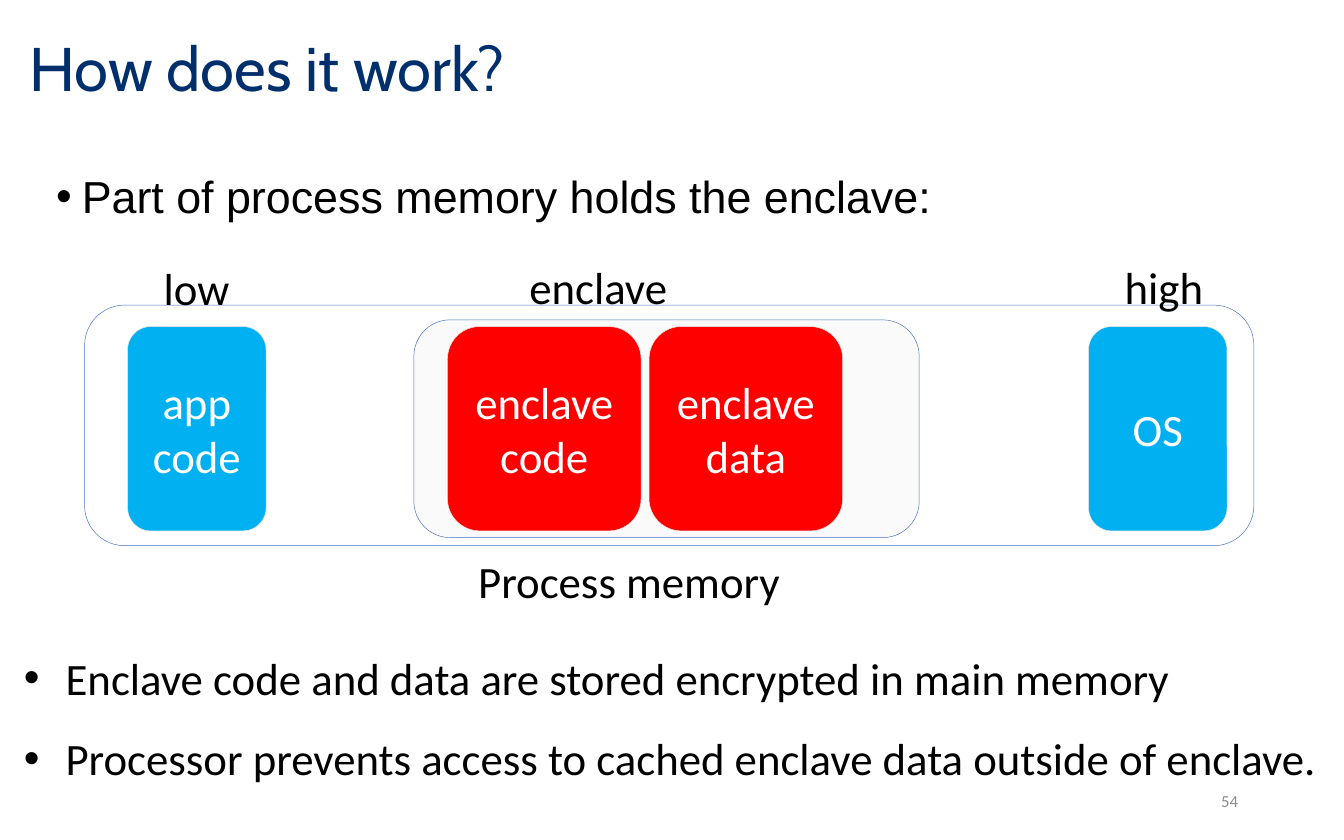
"""Build the slide on how an enclave sits in process memory."""
from dataclasses import dataclass
from typing import Any

from lxml.etree import SubElement
from pptx import Presentation
from pptx.dml.color import RGBColor
from pptx.enum.shapes import MSO_SHAPE
from pptx.enum.text import MSO_ANCHOR, PP_ALIGN
from pptx.oxml.ns import qn
from pptx.util import Emu, Pt

SCALE = 9144
NAVY = RGBColor(0x00, 0x2F, 0x6C)
BLACK = RGBColor(0x00, 0x00, 0x00)
WHITE = RGBColor(0xFF, 0xFF, 0xFF)
GREY = RGBColor(0x8C, 0x8C, 0x8C)
PALE = RGBColor(0xFA, 0xFA, 0xFA)
SILVER = RGBColor(0xE7, 0xE6, 0xE6)
BLUE = RGBColor(0x44, 0x72, 0xC4)
SKY = RGBColor(0x00, 0xB0, 0xF0)
RED = RGBColor(0xFF, 0x00, 0x00)


@dataclass(frozen=True)
class Box:
    left: int
    top: int
    width: int
    height: int


@dataclass(frozen=True)
class Style:
    size: float = 24
    face: str = "Calibri"
    color: RGBColor = BLACK
    align: PP_ALIGN = PP_ALIGN.LEFT
    anchor: MSO_ANCHOR = MSO_ANCHOR.TOP
    wrap: bool = True
    hanging: int = 0
    spacings: tuple[float, ...] = ()


@dataclass(frozen=True)
class Region:
    box: Box
    fill: RGBColor
    outline: RGBColor
    lines: tuple[str, ...] = ()


@dataclass(frozen=True)
class Passage:
    box: Box
    lines: tuple[str, ...]
    style: Style


BLOCK = Style(color=WHITE, align=PP_ALIGN.CENTER, anchor=MSO_ANCHOR.MIDDLE)
LABEL = Style(wrap=False)
TITLE = Style(33, "Cabin", NAVY, anchor=MSO_ANCHOR.MIDDLE, spacings=(0.9,))
INTRO = Style(face="Arial", hanging=19)
FACTS = Style(wrap=False, hanging=31, spacings=(1.0, 1.5))
NUMBER = Style(9, color=GREY, align=PP_ALIGN.RIGHT, anchor=MSO_ANCHOR.MIDDLE)

BLOCK_TOP, BLOCK_HEIGHT = 243, 152
SIDE_WIDTH, ENCLAVE_WIDTH = 103, 144


def block(left: int, width: int, fill: RGBColor, *lines: str) -> Region:
    """Describe one coloured block of the memory row."""
    return Region(Box(left, BLOCK_TOP, width, BLOCK_HEIGHT), fill, SILVER, lines)


REGIONS = (
    Region(Box(63, 227, 870, 179), WHITE, BLUE),
    Region(Box(308, 238, 376, 162), PALE, BLUE),
    block(95, SIDE_WIDTH, SKY, "app", "code"),
    block(333, ENCLAVE_WIDTH, RED, "enclave", "code"),
    block(483, ENCLAVE_WIDTH, RED, "enclave", "data"),
    block(810, SIDE_WIDTH, SKY, "OS"),
)

PASSAGES = (
    Passage(Box(12, 10, 852, 86), ("How does it work?",), TITLE),
    Passage(Box(32, 121, 940, 56), ("Part of process memory holds the enclave:",), INTRO),
    Passage(Box(112, 189, 70, 50), ("low",), LABEL),
    Passage(Box(384, 188, 124, 50), ("enclave",), LABEL),
    Passage(Box(827, 188, 79, 50), ("high",), LABEL),
    Passage(Box(346, 407, 247, 50), ("Process memory",), LABEL),
    Passage(
        Box(8, 479, 991, 105),
        (
            "Enclave code and data are stored encrypted in main memory",
            "Processor prevents access to cached enclave data outside of enclave.",
        ),
        FACTS,
    ),
    Passage(Box(706, 579, 225, 33), ("54",), NUMBER),
)


def px(length: int) -> Emu:
    """Turn whole pixels into EMU."""
    return Emu(length * SCALE)


def place(box: Box) -> tuple[Emu, Emu, Emu, Emu]:
    """Give the position and size of a box in EMU."""
    return px(box.left), px(box.top), px(box.width), px(box.height)


def apply(target: Any, values: dict[str, Any]) -> None:
    """Set each named format value on the target."""
    for name, value in values.items():
        setattr(target, name, value)


def add_bullet(paragraph: Any, hanging: int) -> None:
    """Give a paragraph a round bullet with a hanging indent."""
    properties = paragraph._p.get_or_add_pPr()
    properties.set("marL", str(px(hanging)))
    properties.set("indent", str(-px(hanging)))
    SubElement(properties, qn("a:buFont"), typeface="Arial")
    SubElement(properties, qn("a:buChar"), char="•")


def write(frame: Any, lines: tuple[str, ...], style: Style) -> None:
    """Write the lines as paragraphs in one style."""
    apply(frame, {"word_wrap": style.wrap, "vertical_anchor": style.anchor})
    frame.text = "\n".join(lines)
    for paragraph in frame.paragraphs:
        if style.hanging:
            add_bullet(paragraph, style.hanging)
        paragraph.alignment = style.align
        apply(paragraph.runs[0].font, {"size": Pt(style.size), "name": style.face})
        paragraph.runs[0].font.color.rgb = style.color
    for paragraph, spacing in zip(frame.paragraphs, style.spacings):
        paragraph.line_spacing = spacing


def draw_region(slide: Any, region: Region) -> None:
    """Draw one rounded memory region."""
    area = slide.shapes.add_shape(MSO_SHAPE.ROUNDED_RECTANGLE, *place(region.box))
    area.shadow.inherit = False
    area.fill.solid()
    area.fill.fore_color.rgb = region.fill
    area.line.color.rgb = region.outline
    area.line.width = Pt(0.25)
    if region.lines:
        write(area.text_frame, region.lines, BLOCK)


def draw_passage(slide: Any, passage: Passage) -> None:
    """Draw one text box."""
    words = slide.shapes.add_textbox(*place(passage.box))
    write(words.text_frame, passage.lines, passage.style)


def main() -> None:
    """Build and save the slide."""
    deck = Presentation()
    apply(deck, {"slide_width": px(1000), "slide_height": px(625)})
    slide = deck.slides.add_slide(deck.slide_layouts[6])
    for region in REGIONS:
        draw_region(slide, region)
    for passage in PASSAGES:
        draw_passage(slide, passage)
    deck.save("out.pptx")


if __name__ == "__main__":
    main()
